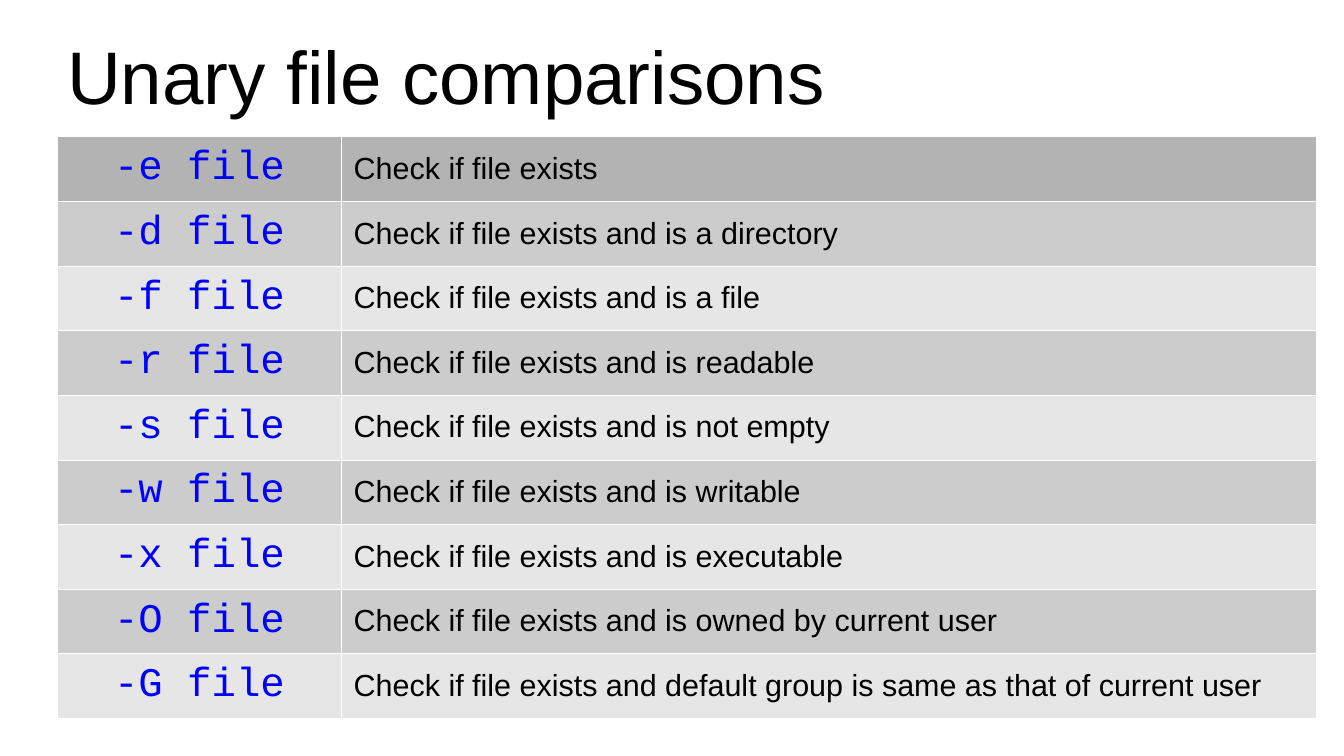
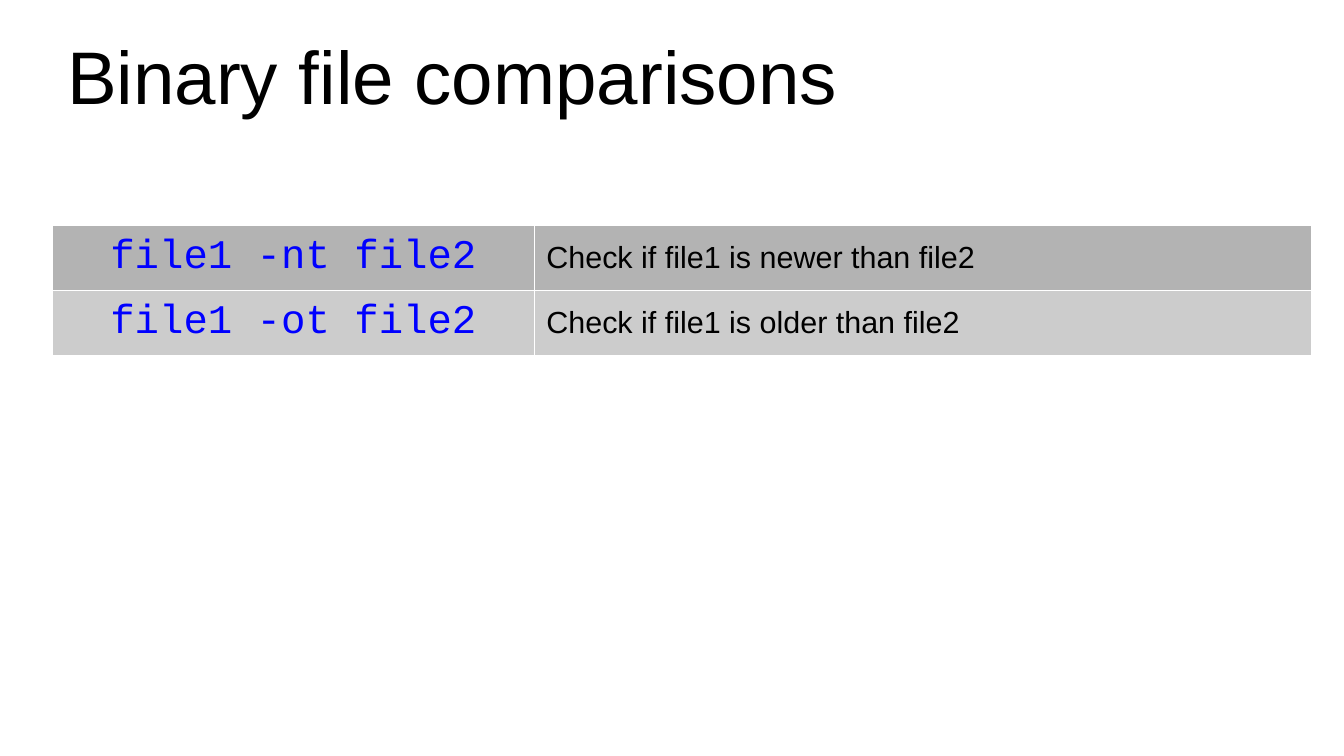
from lxml import etree
from pptx import Presentation
from pptx import util as u
from pptx.dml.color import RGBColor
from pptx.enum import text
from pptx.oxml.ns import qn

# Shared style
BLACK = RGBColor(0x00, 0x00, 0x00)
WHITE = RGBColor(0xFF, 0xFF, 0xFF)
CODE_BLUE = RGBColor(0x00, 0x00, 0xFF)
HEADER_GREY = RGBColor(0xB3, 0xB3, 0xB3)
BAND_GREYS = (RGBColor(0xE6, 0xE6, 0xE6), RGBColor(0xCC, 0xCC, 0xCC))
BODY_FONT = "Arial"
CODE_FONT = "Courier New"
TITLE_BOX = (0.55, 0.09, 9.92, 1.04)
TABLE_WIDTH = 10.32
ROW_HEIGHT = 0.53
BORDER_PT = 0.06

UNARY = [
    ("-e file", "Check if file exists"),
    ("-d file", "Check if file exists and is a directory"),
    ("-f file", "Check if file exists and is a file"),
    ("-r file", "Check if file exists and is readable"),
    ("-s file", "Check if file exists and is not empty"),
    ("-w file", "Check if file exists and is writable"),
    ("-x file", "Check if file exists and is executable"),
    ("-O file", "Check if file exists and is owned by current user"),
    ("-G file", "Check if file exists and default group is same as that of current user"),
]
BINARY = [
    ("file1 -nt file2", "Check if file1 is newer than file2"),
    ("file1 -ot file2", "Check if file1 is older than file2"),
]


def write(tf, content, size=18, font=BODY_FONT, color=BLACK, align=text.PP_ALIGN.LEFT):
    p = tf.paragraphs[0]
    p.alignment = align
    r = p.add_run()
    r.text = content
    r.font.size = u.Pt(size)
    r.font.name = font
    r.font.color.rgb = color


def add_borders(cell):
    tc_pr = cell._tc.get_or_add_tcPr()
    for side in ("lnL", "lnR", "lnT", "lnB"):
        ln = etree.SubElement(tc_pr, qn(f"a:{side}"), w=str(u.Pt(BORDER_PT)))
        fill = etree.SubElement(ln, qn("a:solidFill"))
        etree.SubElement(fill, qn("a:srgbClr"), val=str(WHITE))


def add_title(slide, title, box):
    sp = slide.shapes.title
    sp.left, sp.top, sp.width, sp.height = map(u.Inches, box)
    tf = sp.text_frame
    tf.margin_left = tf.margin_right = tf.margin_top = tf.margin_bottom = 0
    tf.vertical_anchor = text.MSO_ANCHOR.MIDDLE
    tf.word_wrap = True
    write(tf, title, size=44)


def add_test_table(slide, tests, left, top, code_width):
    frame = slide.shapes.add_table(
        len(tests), 2, u.Inches(left), u.Inches(top),
        u.Inches(TABLE_WIDTH), u.Inches(ROW_HEIGHT * len(tests)))
    table = frame.table
    table.columns[0].width = u.Inches(code_width)
    table.columns[1].width = u.Inches(TABLE_WIDTH - code_width)
    for i, (code, meaning) in enumerate(tests):
        table.rows[i].height = u.Inches(ROW_HEIGHT)
        code_cell, meaning_cell = table.rows[i].cells
        for cell in (code_cell, meaning_cell):
            add_borders(cell)
            cell.fill.solid()
            cell.fill.fore_color.rgb = BAND_GREYS[i % 2] if i else HEADER_GREY
            cell.vertical_anchor = text.MSO_ANCHOR.MIDDLE
        write(code_cell.text_frame, code, size=24, font=CODE_FONT,
              color=CODE_BLUE, align=text.PP_ALIGN.CENTER)
        write(meaning_cell.text_frame, meaning)


def add_test_slide(prs, title, tests, **place):
    slide = prs.slides.add_slide(prs.slide_layouts.get_by_name("Title Only"))
    add_title(slide, title, TITLE_BOX)
    add_test_table(slide, tests, **place)


def main():
    prs = Presentation()
    prs.slide_width, prs.slide_height = u.Inches(11.02), u.Inches(6.2)
    add_test_slide(prs, "Unary file comparisons", UNARY,
                   left=0.47, top=1.12, code_width=2.33)
    add_test_slide(prs, "Binary file comparisons", BINARY,
                   left=0.43, top=1.85, code_width=3.95)
    prs.save("out.pptx")


if __name__ == "__main__":
    main()
